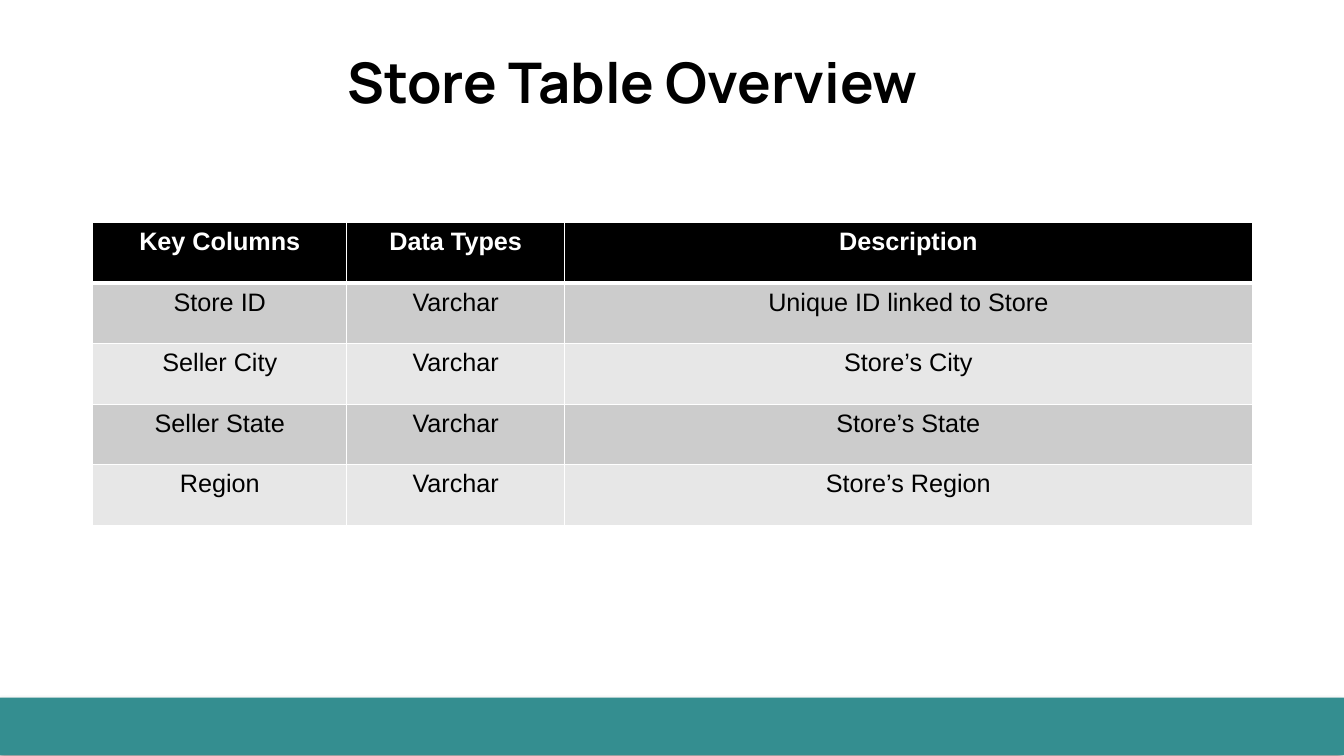
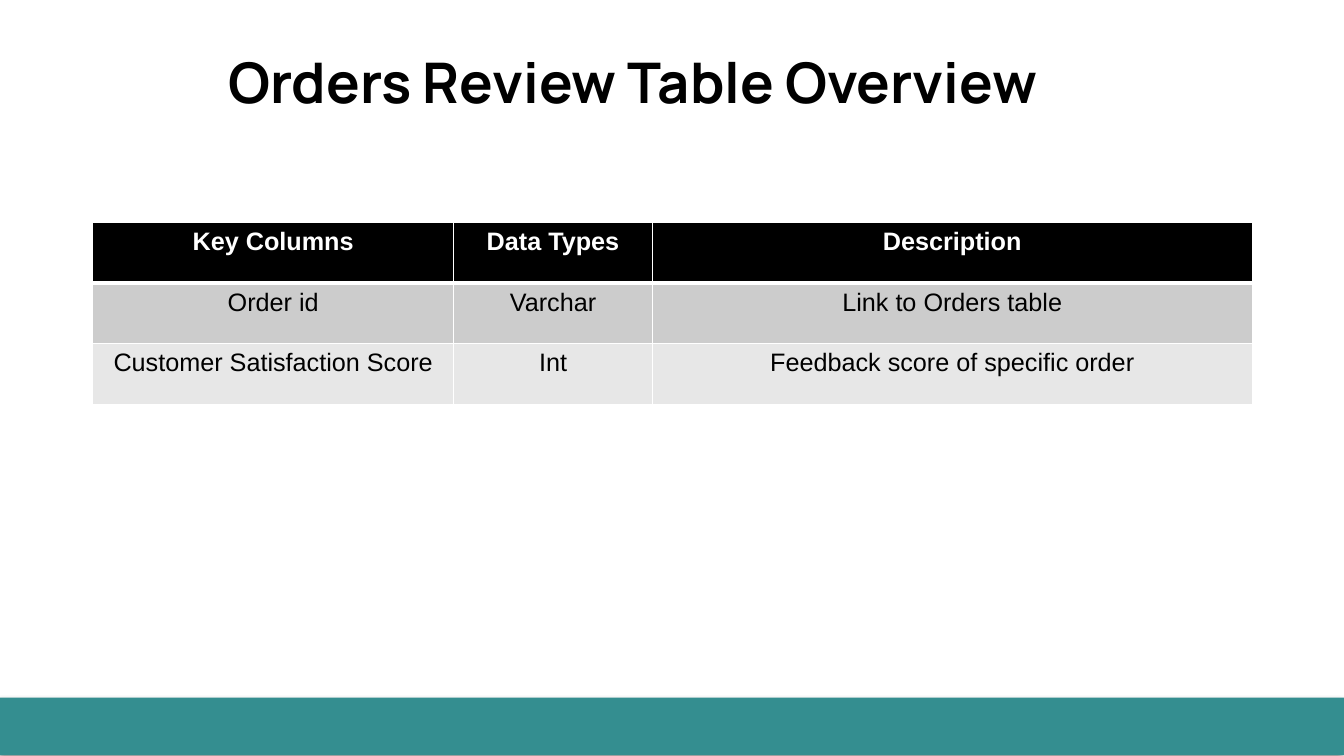
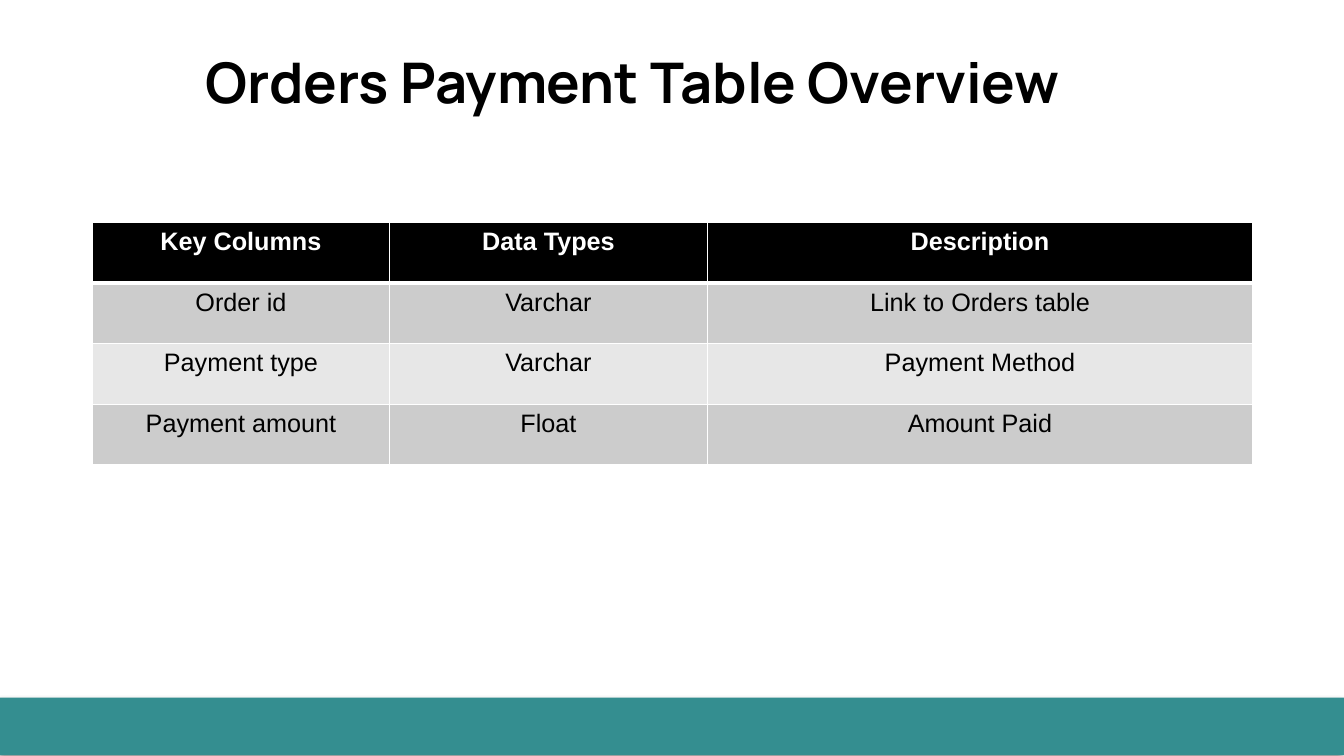
"""Build three slides that each describe the columns of one data table."""
from dataclasses import dataclass

from lxml.etree import SubElement
from pptx import Presentation
from pptx.dml.color import RGBColor
from pptx.enum.shapes import MSO_SHAPE as Shape
from pptx.enum.text import MSO_ANCHOR as Anchor, PP_ALIGN as Align
from pptx.oxml.ns import qn
from pptx.util import Inches, Pt

HEADINGS = ("Key Columns", "Data Types", "Description")
SLIDES = [
    {
        "title": "Store Table Overview",
        "columns": (2.52, 2.16, 6.82),
        "rows": [
            ("Store ID", "Varchar", "Unique ID linked to Store"),
            ("Seller City", "Varchar", "Store’s City"),
            ("Seller State", "Varchar", "Store’s State"),
            ("Region", "Varchar", "Store’s Region"),
        ],
    },
    {
        "title": "Orders Review Table Overview",
        "columns": (3.58, 1.97, 5.95),
        "rows": [
            ("Order id", "Varchar", "Link to Orders table"),
            ("Customer Satisfaction Score", "Int", "Feedback score of specific order"),
        ],
    },
    {
        "title": "Orders Payment Table Overview",
        "columns": (2.94, 3.16, 5.4),
        "rows": [
            ("Order id", "Varchar", "Link to Orders table"),
            ("Payment type", "Varchar", "Payment Method"),
            ("Payment amount", "Float", "Amount Paid"),
        ],
    },
]


@dataclass(frozen=True)
class Theme:
    black: str = "000000"
    white: str = "FFFFFF"
    band: str = "348E90"
    stripes: tuple = ("CCCCCC", "E7E7E7")
    title_font: str = "Manrope"
    body_font: str = "Arial"
    title_size: int = 40
    body_size: int = 18
    thin: int = 1
    thick: int = 3


THEME = Theme()
WIDTH, HEIGHT = 13.33, 7.5
TITLE_BOX = (0.44, 0, 11.67, 1.24)
BAND_BOX = (0, 6.92, WIDTH, 0.57)
TABLE_LEFT, TABLE_TOP, ROW_HEIGHT = 0.92, 2.21, 0.6


def inches(box):
    return [Inches(length) for length in box]


def paint(fill, color):
    fill.solid()
    fill.fore_color.rgb = RGBColor.from_string(color)


def write(frame, text, *, font=THEME.body_font, size=THEME.body_size,
          color=THEME.black, bold=False):
    para = frame.paragraphs[0]
    para.alignment = Align.CENTER
    span = para.add_run()
    span.text = text
    span.font.name = font
    span.font.size = Pt(size)
    span.font.bold = bold
    span.font.color.rgb = RGBColor.from_string(color)


def add_color(parent, color):
    return SubElement(parent, qn("a:srgbClr"), val=color)


def add_band(page):
    band = page.shapes.add_shape(Shape.RECTANGLE, *inches(BAND_BOX))
    paint(band.fill, THEME.band)
    band.line.fill.background()
    band.shadow.inherit = False
    effects = band._element.spPr.find(qn("a:effectLst"))
    shadow = SubElement(effects, qn("a:outerShdw"), blurRad=str(Pt(4)),
                        dist=str(Pt(3)), dir=str(135 * 60000), rotWithShape="0")
    SubElement(add_color(shadow, THEME.black), qn("a:alpha"), val="40000")


def add_title(page, text):
    box = page.shapes.add_textbox(*inches(TITLE_BOX))
    frame = box.text_frame
    frame.word_wrap = True
    frame.vertical_anchor = Anchor.BOTTOM
    frame.margin_left = frame.margin_right = Inches(0.1)
    frame.margin_top = frame.margin_bottom = Inches(0.1)
    write(frame, text, font=THEME.title_font, size=THEME.title_size, bold=True)


def add_borders(cell, **widths):
    properties = cell._tc.get_or_add_tcPr()
    for side in "LRTB":
        width = widths.get(side, THEME.thin)
        line = SubElement(properties, qn(f"a:ln{side}"), w=str(Pt(width)))
        add_color(SubElement(line, qn("a:solidFill")), THEME.white)


def style_cell(cell, row, text):
    if row == 0:
        add_borders(cell, B=THEME.thick)
        paint(cell.fill, THEME.black)
        write(cell.text_frame, text, color=THEME.white, bold=True)
    else:
        add_borders(cell, T=THEME.thick if row == 1 else THEME.thin)
        paint(cell.fill, THEME.stripes[(row - 1) % 2])
        write(cell.text_frame, text)


def add_grid(page, columns, rows):
    lines = [HEADINGS, *rows]
    box = (TABLE_LEFT, TABLE_TOP, sum(columns), ROW_HEIGHT * len(lines))
    table = page.shapes.add_table(len(lines), len(columns), *inches(box)).table
    table.horz_banding = False
    for column, width in zip(table.columns, columns):
        column.width = Inches(width)
    for row, line in enumerate(lines):
        table.rows[row].height = Inches(ROW_HEIGHT)
        for column, text in enumerate(line):
            style_cell(table.cell(row, column), row, text)


def main():
    deck = Presentation()
    deck.slide_width, deck.slide_height = Inches(WIDTH), Inches(HEIGHT)
    paint(deck.slide_master.background.fill, THEME.white)
    for content in SLIDES:
        page = deck.slides.add_slide(deck.slide_layouts[6])
        add_band(page)
        add_title(page, content["title"])
        add_grid(page, content["columns"], content["rows"])
    deck.save("out.pptx")


if __name__ == "__main__":
    main()
